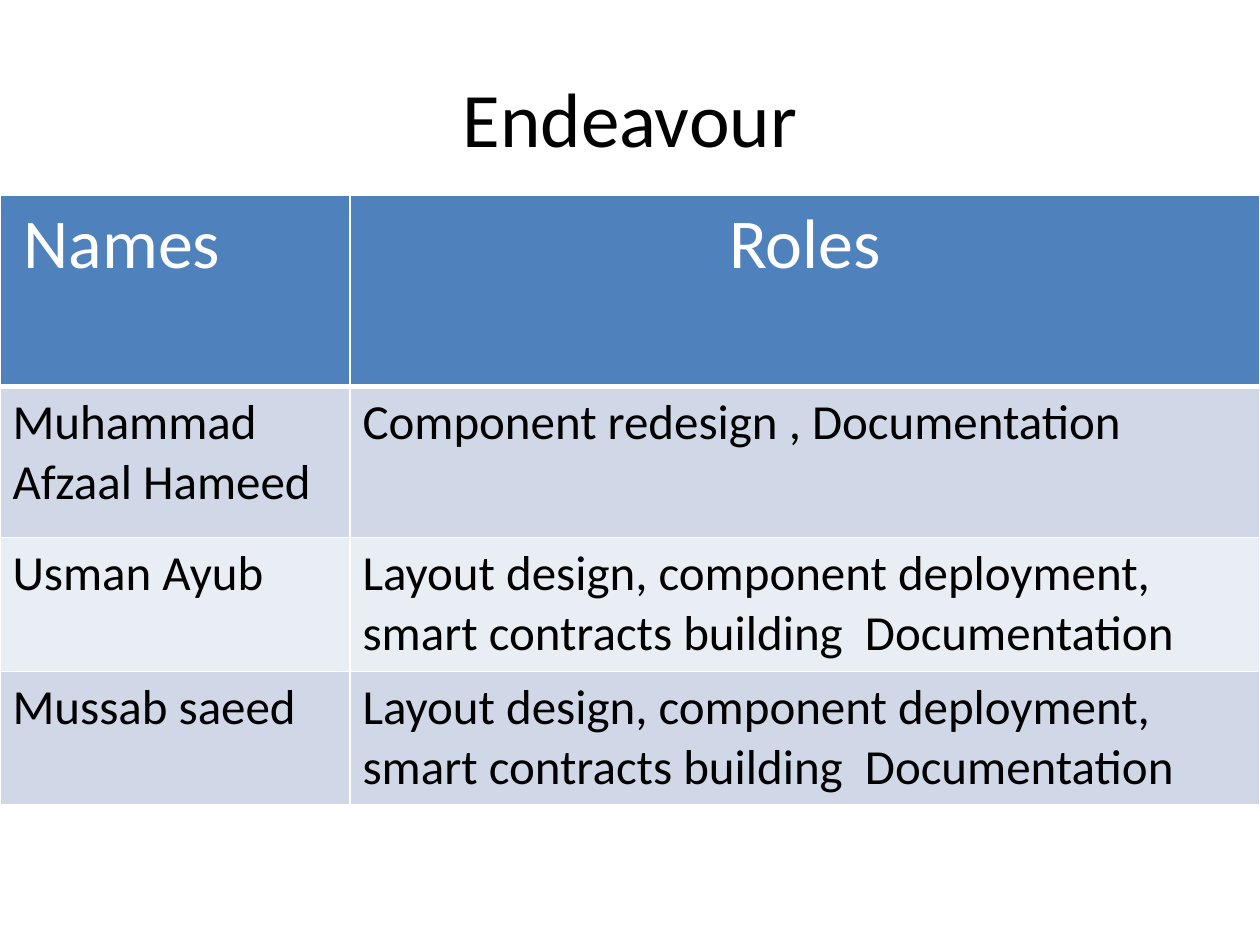
from lxml import etree
from pptx import Presentation
from pptx.dml.color import RGBColor
from pptx.enum.text import MSO_ANCHOR, PP_ALIGN
from pptx.oxml.ns import qn
from pptx.util import Pt

LEFT, CENTER = PP_ALIGN.LEFT, PP_ALIGN.CENTER
MIDDLE = MSO_ANCHOR.MIDDLE
WHITE = RGBColor(0xFF, 0xFF, 0xFF)
BLACK = RGBColor(0, 0, 0)
BLUE = RGBColor(0x4F, 0x81, 0xBD)
BANDS = [RGBColor(0xD0, 0xD8, 0xE8), RGBColor(0xE9, 0xED, 0xF4)]
FONT = "Calibri"

# Content
TITLE = "Endeavour"
BUILD = "Layout design, component deployment, smart contracts building  Documentation"
ROWS = [
    ("Names", "Roles"),
    ("Muhammad Afzaal Hameed", "Component redesign , Documentation"),
    ("Usman Ayub", BUILD),
    ("Mussab saeed", BUILD),
]
WIDTHS = [200, 520]
HEIGHTS = [109.2, 86.4, 76.4, 76.4]
TOP = 111.6


def write(frame, text, size, color, align=LEFT):
    frame.text = text
    para = frame.paragraphs[0]
    para.alignment = align
    font = para.runs[0].font
    font.name, font.size, font.bold = FONT, Pt(size), False
    font.color.rgb = color


def border(cell, low):
    """Draw white edges; low is the width of the bottom edge."""
    props = cell._tc.get_or_add_tcPr()
    for tag, width in (("lnL", 1), ("lnR", 1), ("lnT", 1), ("lnB", low)):
        line = etree.SubElement(props, qn("a:" + tag), w=str(Pt(width)))
        fill = etree.SubElement(line, qn("a:solidFill"))
        etree.SubElement(fill, qn("a:srgbClr"), val=str(WHITE))


prs = Presentation()
prs.slide_width, prs.slide_height = Pt(720), Pt(540)
slide = prs.slides.add_slide(prs.slide_layouts[6])

# Title
box = slide.shapes.add_textbox(Pt(36), Pt(21.6), Pt(648), Pt(90))
frame = box.text_frame
frame.word_wrap = True
frame.vertical_anchor = MIDDLE
write(frame, TITLE, 44, BLACK, CENTER)

# Table of names and roles
table = slide.shapes.add_table(
    len(ROWS), len(WIDTHS), 0, Pt(TOP), Pt(sum(WIDTHS)), Pt(sum(HEIGHTS))
).table
for col, width in zip(table.columns, WIDTHS):
    col.width = Pt(width)
for row, height in zip(table.rows, HEIGHTS):
    row.height = Pt(height)

for r, row in enumerate(ROWS):
    head = r == 0
    for c, text in enumerate(row):
        cell = table.cell(r, c)
        border(cell, 3 if head else 1)
        cell.fill.solid()
        cell.fill.fore_color.rgb = BLUE if head else BANDS[(r - 1) % 2]
        if head:
            write(cell.text_frame, text, 40, WHITE, CENTER if c else LEFT)
        else:
            write(cell.text_frame, text, 28, BLACK)

# The first heading sits slightly inside its column
table.cell(0, 0).margin_left = Pt(13.5)

prs.save("out.pptx")
